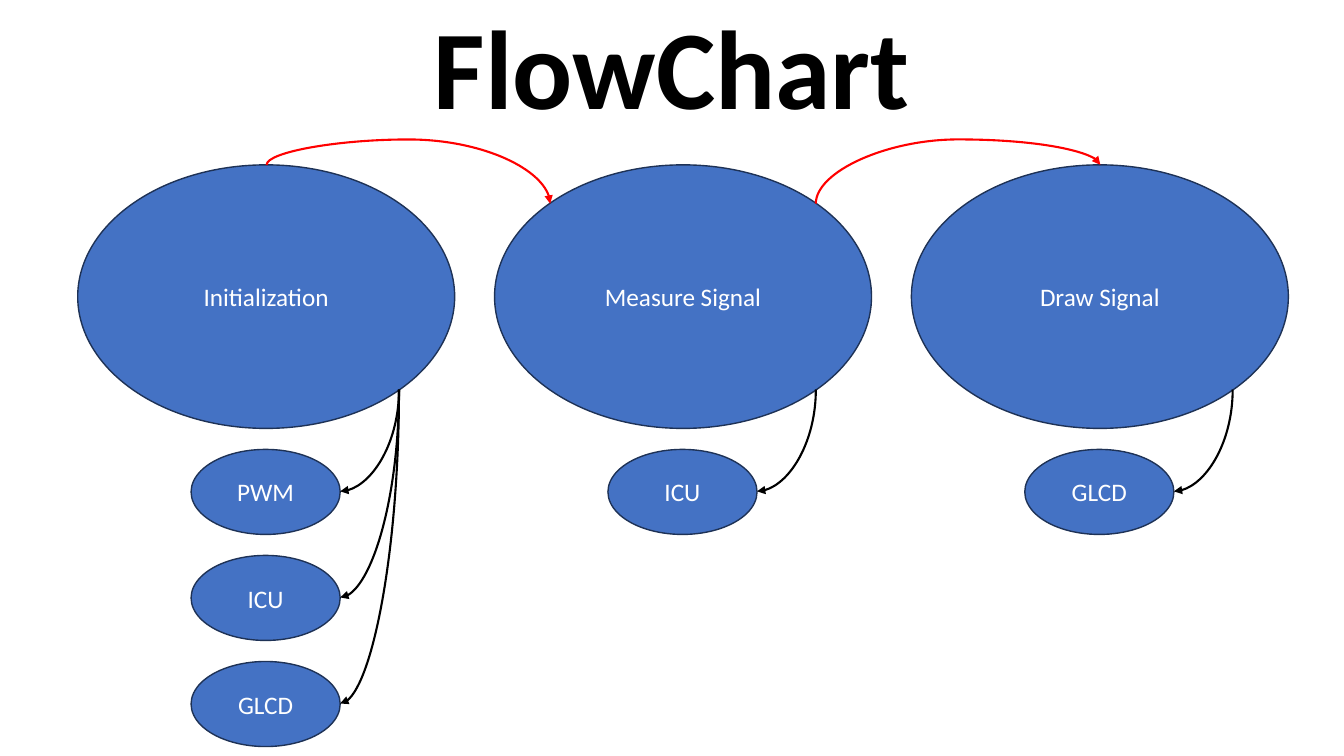
"""Build a flowchart slide: three stages, the modules each one uses, and curved arrows."""
from lxml import etree
from pptx import Presentation
from pptx import util as u
from pptx.dml.color import RGBColor
from pptx.enum import shapes, text
from pptx.oxml.ns import qn

PX = 9525
COLORS = {"fill": "4472C4", "edge": "1E3256", "label": "FFFFFF",
          "title": "000000", "flow": "FF0000", "uses": "000000"}
STAGES = [("Initialization", ["PWM", "ICU", "GLCD"]),
          ("Measure Signal", ["ICU"]),
          ("Draw Signal", ["GLCD"])]
LEFT, TOP, STEP = 74, 157, 397
STAGE_W, STAGE_H = 359, 251
MODULE_W, MODULE_H = 142, 81
MODULE_DX, MODULE_TOP, MODULE_STEP = 108, 428, 101
MID, DIAG_LEFT, DIAG_RIGHT = 180, 53, 306
DIAG_TOP, DIAG_BOTTOM = 194, 371


def write(sp, label, size=18, color="label", bold=False, spacing=1.0):
    tf = sp.text_frame
    tf.word_wrap = True
    tf.vertical_anchor = text.MSO_ANCHOR.MIDDLE
    p = tf.paragraphs[0]
    p.alignment = text.PP_ALIGN.CENTER
    p.line_spacing = spacing
    r = p.add_run()
    r.text = label
    r.font.name = "Calibri"
    r.font.size = u.Pt(size)
    r.font.bold = bold
    r.font.color.rgb = RGBColor.from_string(COLORS[color])


def curve(x1, y1, x2, y2, color, preset="curvedConnector2", adj=None, **xfrm):
    w, h = abs(y2 - y1), abs(x2 - x1)
    x, y = (x1 + x2 - w) / 2, (y1 + y2 - h) / 2
    c = s.shapes.add_connector(shapes.MSO_CONNECTOR.CURVE, *[
        int(v * PX) for v in (x, y, x + w, y + h)])
    c.line.color.rgb = RGBColor.from_string(COLORS[color])
    c.line.width = u.Pt(1.5)
    pr = c._element.spPr
    for key, value in xfrm.items():
        pr.find(qn("a:xfrm")).set(key, str(value))
    geom = pr.find(qn("a:prstGeom"))
    geom.set("prst", preset)
    if adj is not None:
        etree.SubElement(geom.find(qn("a:avLst")), qn("a:gd"),
                         name="adj1", fmla=f"val {adj}")
    etree.SubElement(pr.find(qn("a:ln")), qn("a:tailEnd"), type="triangle")
    etree.SubElement(pr, qn("a:effectLst"))


prs = Presentation()
prs.slide_width, prs.slide_height = 1280 * PX, 720 * PX
s = prs.slides.add_slide(prs.slide_layouts[6])

title = s.shapes.add_textbox(88 * PX, 0, 1104 * PX, 139 * PX)
write(title, "FlowChart", size=80, color="title", bold=True, spacing=0.9)

ovals = []
for i, (stage, modules) in enumerate(STAGES):
    x = LEFT + i * STEP
    ovals.append((stage, x, TOP, STAGE_W, STAGE_H))
    for j, module in enumerate(modules):
        ovals.append((module, x + MODULE_DX, MODULE_TOP + j * MODULE_STEP,
                      MODULE_W, MODULE_H))

for label, *box in ovals:
    sp = s.shapes.add_shape(shapes.MSO_SHAPE.OVAL, *[v * PX for v in box])
    sp.shadow.inherit = False
    sp.fill.solid()
    sp.fill.fore_color.rgb = RGBColor.from_string(COLORS["fill"])
    sp.line.color.rgb = RGBColor.from_string(COLORS["edge"])
    sp.line.width = u.Pt(1)
    write(sp, label)

measure, draw = LEFT + STEP, LEFT + 2 * STEP
curve(LEFT + MID, TOP, measure + DIAG_LEFT, DIAG_TOP, "flow",
      "curvedConnector3", -65400, rot=16200000, flipH=1)
curve(measure + DIAG_RIGHT, DIAG_TOP, draw + MID, TOP, "flow",
      "curvedConnector3", 165400, rot=5400000, flipH=1, flipV=1)

for i, (stage, modules) in enumerate(STAGES):
    x = LEFT + i * STEP
    for j in range(len(modules)):
        curve(x + DIAG_RIGHT, DIAG_BOTTOM, x + MODULE_DX + MODULE_W,
              MODULE_TOP + j * MODULE_STEP + MODULE_H // 2, "uses", rot=5400000)

prs.save("out.pptx")
